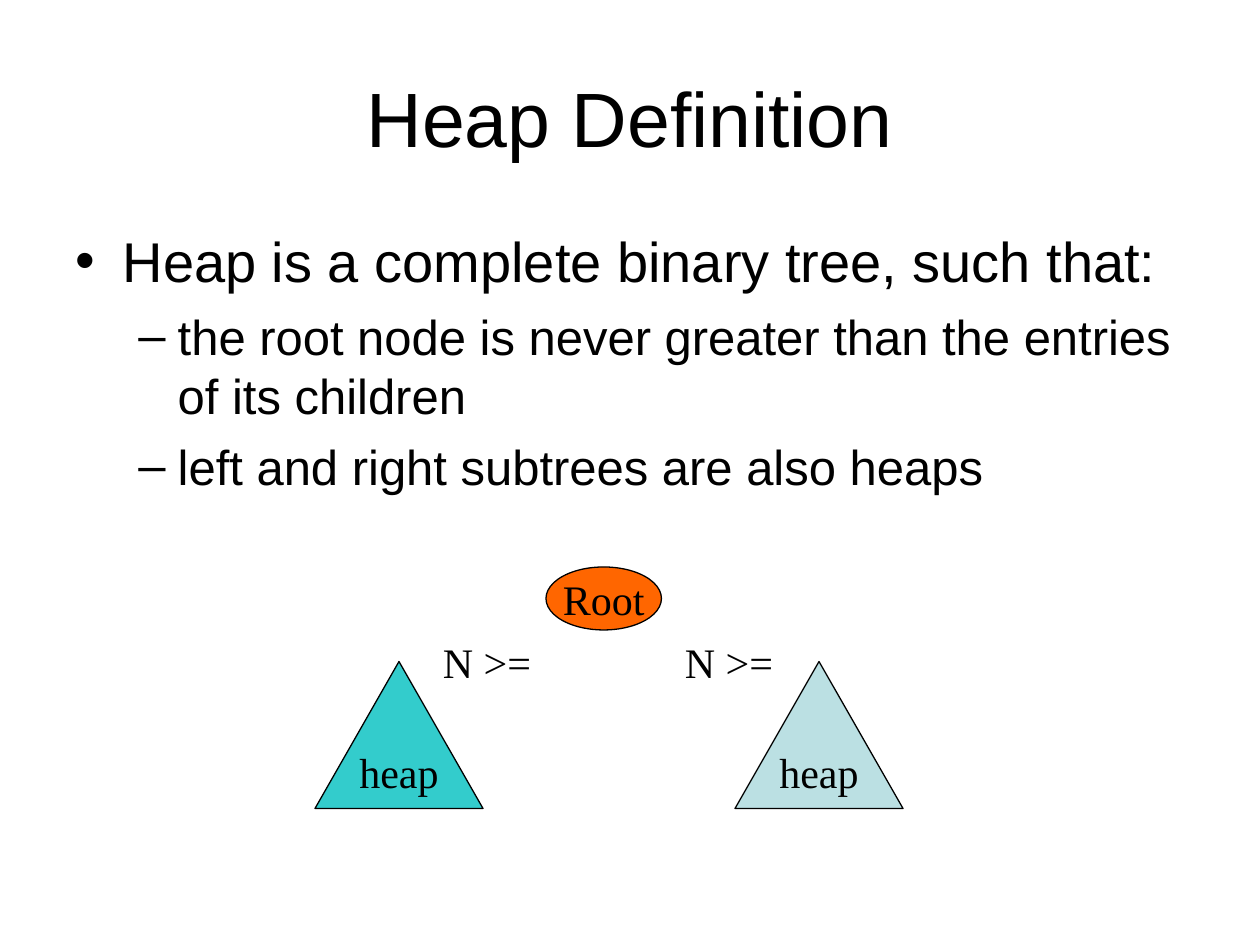
from lxml.etree import SubElement
from pptx import Presentation
from pptx.dml.color import RGBColor
from pptx.enum.shapes import MSO_SHAPE as Shape
from pptx.enum.text import MSO_ANCHOR as Anchor, PP_ALIGN as Align
from pptx.oxml.ns import qn
from pptx.util import Pt

BLACK = "000000"
SANS, SERIF = "Arial", "Times New Roman"


def color(hex_code):
    return RGBColor.from_string(hex_code)


def write(paragraph, text, size=24, font=SERIF, align=Align.LEFT, before=0):
    paragraph.alignment = align
    paragraph.space_before = Pt(before)
    run = paragraph.add_run()
    run.text = text
    run.font.size = Pt(size)
    run.font.name = font
    run.font.color.rgb = color(BLACK)


def set_bullet(paragraph, mark, indent, hanging):
    properties = paragraph._p.get_or_add_pPr()
    properties.set("marL", str(Pt(indent)))
    properties.set("indent", str(-Pt(hanging)))
    SubElement(properties, qn("a:buFont"), typeface=SANS)
    SubElement(properties, qn("a:buChar"), char=mark)


def place_title(slide, text):
    title = slide.shapes.title
    title.left, title.top, title.width, title.height = Pt(36), Pt(21.6), Pt(648), Pt(90)
    title.text_frame.vertical_anchor = Anchor.MIDDLE
    write(title.text_frame.paragraphs[0], text, size=44, font=SANS, align=Align.CENTER)


def add_text_box(slide, left, top, width, height, wrap=False):
    box = slide.shapes.add_textbox(Pt(left), Pt(top), Pt(width), Pt(height))
    box.text_frame.word_wrap = wrap
    return box.text_frame


def add_bullets(slide, items):
    frame = add_text_box(slide, 36, 126, 648, 267, wrap=True)
    for index, (level, text) in enumerate(items):
        paragraph = frame.add_paragraph() if index else frame.paragraphs[0]
        paragraph.level = level
        if level == 0:
            write(paragraph, text, size=32, font=SANS, before=8)
            set_bullet(paragraph, "•", 27, 27)
        else:
            write(paragraph, text, size=28, font=SANS, before=7)
            set_bullet(paragraph, "–", 58.5, 22.5)


def add_node(slide, kind, text, fill, left, top, width, height):
    node = slide.shapes.add_shape(kind, Pt(left), Pt(top), Pt(width), Pt(height))
    node.shadow.inherit = False
    node.fill.solid()
    node.fill.fore_color.rgb = color(fill)
    node.line.color.rgb = color(BLACK)
    node.line.width = Pt(0.75)
    frame = node.text_frame
    frame.word_wrap = False
    frame.vertical_anchor = Anchor.MIDDLE
    write(frame.paragraphs[0], text, align=Align.CENTER)


def main():
    presentation = Presentation()
    presentation.slide_width, presentation.slide_height = Pt(720), Pt(540)
    slide = presentation.slides.add_slide(presentation.slide_layouts[5])

    # Title and definition
    place_title(slide, "Heap Definition")
    add_bullets(slide, [
        (0, "Heap is a complete binary tree, such that:"),
        (1, "the root node is never greater than the entries of its children"),
        (1, "left and right subtrees are also heaps"),
    ])

    # Subtrees and root
    for left, fill in ((420, "BBE0E3"), (180, "33CCCC")):
        add_node(slide, Shape.ISOSCELES_TRIANGLE, "heap", fill, left, 378, 96, 84)
    add_node(slide, Shape.OVAL, "Root", "FF6600", 312, 324, 66, 36)

    # Order relation on each side of the root
    for left in (384.25, 246):
        frame = add_text_box(slide, left, 360, 64.8, 36)
        write(frame.paragraphs[0], "N >=")

    presentation.save("out.pptx")


if __name__ == "__main__":
    main()
